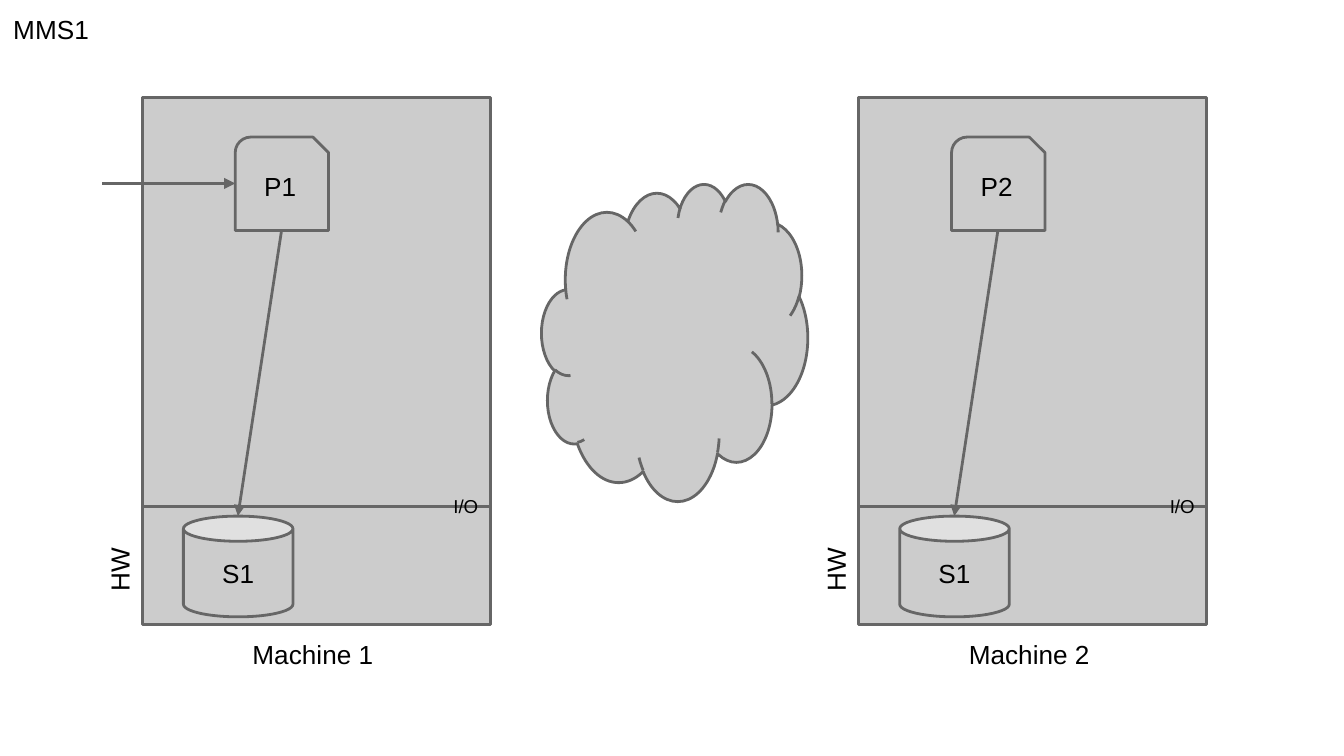
from lxml import etree
from pptx import Presentation
from pptx.dml.color import RGBColor
from pptx.enum.shapes import MSO_CONNECTOR, MSO_SHAPE
from pptx.enum.text import MSO_ANCHOR, PP_ALIGN
from pptx.oxml.ns import qn
from pptx.util import Pt

EMU_PER_PX = 4572  # 200 px to the inch
COLORS = {"fill": "CCCCCC", "line": "666666", "text": "000000"}
LINE_WIDTH = Pt(1.5)
INSET = 20
MACHINE_TOP, MACHINE_WIDTH, MACHINE_HEIGHT = 145, 518, 785


def px(*lengths):
    return [length * EMU_PER_PX for length in lengths]


def color(name):
    return RGBColor.from_string(COLORS[name])


def write(shape, text, size=14, align=PP_ALIGN.LEFT, anchor=MSO_ANCHOR.TOP):
    frame = shape.text_frame
    inset = INSET * EMU_PER_PX
    frame_format = {
        "word_wrap": True, "vertical_anchor": anchor,
        "margin_left": inset, "margin_right": inset,
        "margin_top": inset, "margin_bottom": inset,
    }
    for name, value in frame_format.items():
        setattr(frame, name, value)
    paragraph = frame.paragraphs[0]
    paragraph.alignment = align
    run = paragraph.add_run()
    run.text = text
    for name, value in {"name": "Arial", "size": Pt(size)}.items():
        setattr(run.font, name, value)
    run.font.color.rgb = color("text")


def add_label(shapes, box, text, size=14, rotation=0):
    label = shapes.add_textbox(*px(*box))
    label.rotation = rotation
    write(label, text, size)


def add_block(shapes, kind, box, text=None, adjustments=()):
    """Add a grey outlined shape, with centred text if any is given."""
    shape = shapes.add_shape(kind, *px(*box))
    shape.shadow.inherit = False
    shape.fill.solid()
    shape.fill.fore_color.rgb = color("fill")
    shape.line.color.rgb = color("line")
    shape.line.width = LINE_WIDTH
    for index, value in enumerate(adjustments):
        shape.adjustments[index] = value
    if text:
        write(shape, text, align=PP_ALIGN.CENTER, anchor=MSO_ANCHOR.MIDDLE)


def add_line(shapes, start, end, arrow=False):
    connector = shapes.add_connector(MSO_CONNECTOR.STRAIGHT, *px(*start, *end))
    connector.line.color.rgb = color("line")
    connector.line.width = LINE_WIDTH
    properties = connector._element.spPr
    if arrow:
        outline = properties.find(qn("a:ln"))
        etree.SubElement(outline, qn("a:tailEnd"), type="triangle")
    etree.SubElement(properties, qn("a:effectLst"))


def add_machine(shapes, left, top, width, height, number, has_input=False):
    """Draw a machine: its process above the I/O line, its storage below."""
    group = shapes.add_group_shape()
    add_block(group.shapes, MSO_SHAPE.RECTANGLE, (left, top, width, height))
    add_label(group.shapes, (left + 144, top + height, 230, 78), f"Machine {number}")

    io_line = top + 609
    add_line(shapes, (left, io_line), (left + width, io_line))
    add_label(shapes, (left - 95, top + 660, 112, 78), "HW", rotation=270)
    add_label(shapes, (left + 443, top + 575, 102, 74), "I/O", size=10)

    process_left, process_top, process_size = left + 138, top + 59, 139
    storage_left, storage_top, storage_width = left + 61, top + 623, 163
    process_middle = process_left + process_size // 2
    add_block(shapes, MSO_SHAPE.CAN, (storage_left, storage_top, storage_width, 150),
              "S1", [0.25])
    add_line(shapes, (process_middle, process_top + process_size),
             (storage_left + storage_width // 2, storage_top), arrow=True)
    if has_input:
        input_y = process_top + process_size // 2
        add_line(shapes, (left - 60, input_y), (process_left, input_y), arrow=True)
    add_block(shapes, MSO_SHAPE.SNIP_ROUND_RECTANGLE,
              (process_left, process_top, process_size, process_size),
              f"P{number}", [0.167, 0.167])


def main():
    presentation = Presentation()
    presentation.slide_width, presentation.slide_height = px(2000, 1125)
    slide = presentation.slides.add_slide(presentation.slide_layouts[6])
    shapes = slide.shapes

    for number, left in enumerate((212, 1278), start=1):
        add_machine(shapes, left, MACHINE_TOP, MACHINE_WIDTH, MACHINE_HEIGHT,
                    number, has_input=number == 1)
    add_block(shapes, MSO_SHAPE.CLOUD, (806, 273, 396, 472))
    add_label(shapes, (0, 0, 162, 74), "MMS1")

    presentation.save("out.pptx")


if __name__ == "__main__":
    main()
